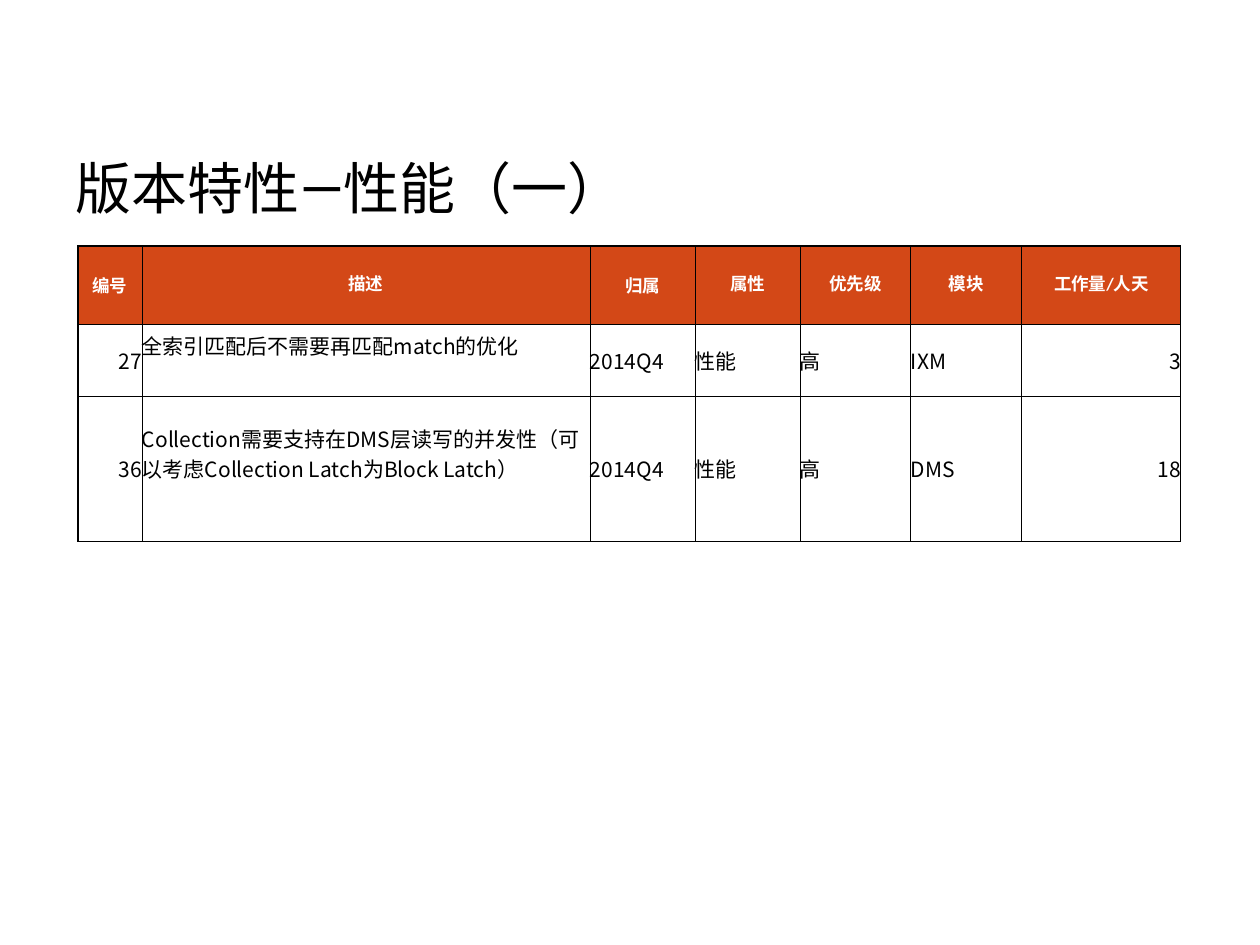
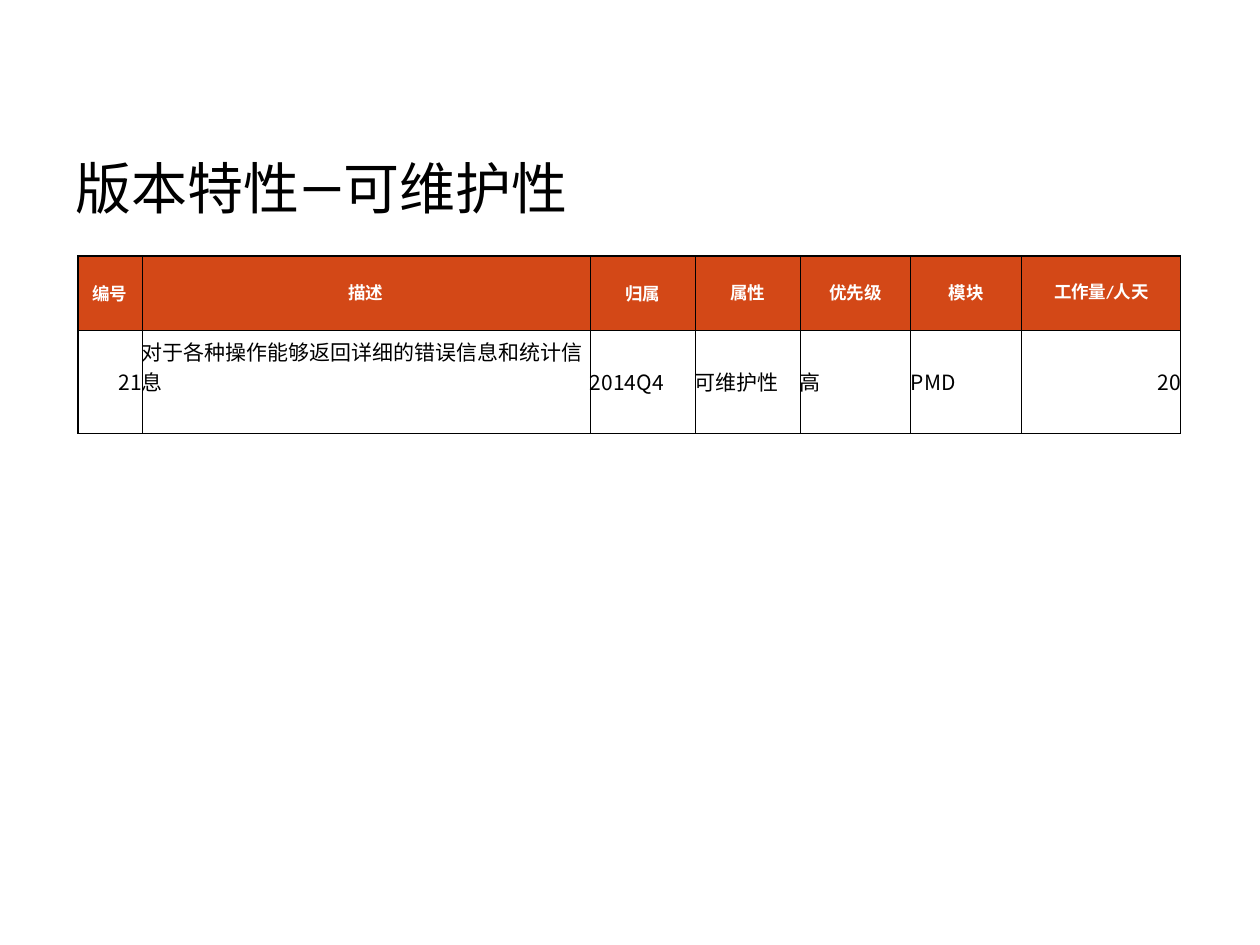
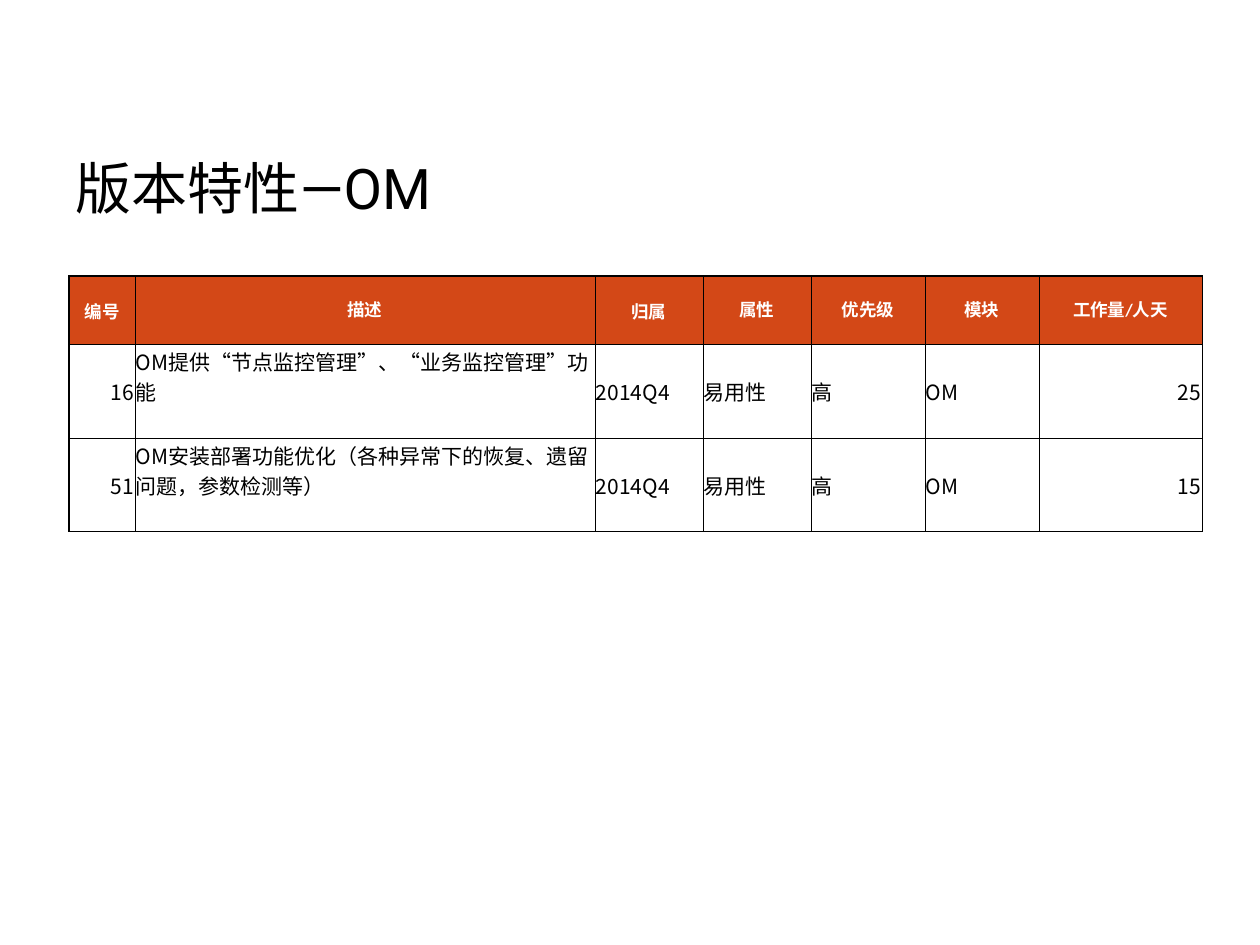
from lxml import etree
from pptx import Presentation
from pptx.dml.color import RGBColor
from pptx.enum.text import MSO_ANCHOR, PP_ALIGN
from pptx.oxml.ns import qn
from pptx.util import Pt

LEFT, MID, RIGHT = PP_ALIGN.LEFT, PP_ALIGN.CENTER, PP_ALIGN.RIGHT
CENTER = MSO_ANCHOR.MIDDLE
SCALE = 914400 / 126
COLORS = {"head": "D34817", "white": "FFFFFF", "black": "000000"}
CJK, ARIAL, SLASH, TITLE = "Noto Sans CJK SC", "Arial", "Calibri", "Roboto"
COLS = [64, 448, 105, 105, 111, 111, 159]
ALIGNS = [RIGHT] + [LEFT] * 5 + [RIGHT]
LINE = 30
HEAD = [
    [("编号", CJK)],
    [("描述", ARIAL)],
    [("归属", CJK)],
    [("属性", ARIAL)],
    [("优先级", ARIAL)],
    [("模块", ARIAL)],
    [("工作量", ARIAL), ("/", SLASH), ("人天", ARIAL)],
]
SLIDES = [
    {
        "title": "版本特性—性能（一）",
        "box": (78, 246, 1103), "inset": 0, "heights": [78, 72, 145],
        "rows": [
            ["27", "全索引匹配后不需要再匹配match的优化",
             "2014Q4", "性能", "高", "IXM", "3"],
            ["36", "Collection需要支持在DMS层读写的并发性"
             "（可以考虑Collection Latch为Block Latch）",
             "2014Q4", "性能", "高", "DMS", "18"],
        ],
    },
    {
        "title": "版本特性—可维护性",
        "box": (78, 256, 1103), "inset": 0, "heights": [74, 103],
        "rows": [
            ["21", "对于各种操作能够返回详细的错误信息和统计信息",
             "2014Q4", "可维护性", "高", "PMD", "20"],
        ],
    },
    {
        "title": "版本特性—OM",
        "box": (69, 276, 1132), "inset": 1, "heights": [68, 94, 94],
        "rows": [
            ["16", "OM提供“节点监控管理”、“业务监控管理”功能",
             "2014Q4", "易用性", "高", "OM", "25"],
            ["51", "OM安装部署功能优化（各种异常下的恢复、遗留问题，参数检测等）",
             "2014Q4", "易用性", "高", "OM", "15"],
        ],
    },
]


def px(size):
    return round(size * SCALE)


def style(run, face, size, color, bold=False):
    font = run.font
    font.name, font.size, font.bold = face, Pt(size), bold
    font.color.rgb = RGBColor.from_string(COLORS[color])
    east = etree.Element(qn("a:ea"), typeface=face)
    run._r.get_or_add_rPr().find(qn("a:latin")).addnext(east)


def edge(cell, top, left):
    widths = {"L": 1 if left else 0.5, "R": 0.5, "T": 1 if top else 0.5, "B": 0.5}
    props = cell._tc.get_or_add_tcPr()
    for spot, (side, width) in enumerate(widths.items()):
        line = etree.Element(qn(f"a:ln{side}"), w=str(Pt(width)))
        fill = etree.SubElement(line, qn("a:solidFill"))
        etree.SubElement(fill, qn("a:srgbClr"), val=COLORS["black"])
        props.insert(spot, line)


def write(cell, parts, align, size, color, bold):
    para = cell.text_frame.paragraphs[0]
    para.alignment = align
    for text, face in parts:
        run = para.add_run()
        run.text = text
        style(run, face, size, color, bold)


def add_title(slide, text):
    title = slide.shapes.title
    title.left, title.top, title.width, title.height = map(px, (63, 108, 1134, 158))
    frame = title.text_frame
    frame.text = text
    frame.vertical_anchor = CENTER
    frame.paragraphs[0].alignment = LEFT
    style(frame.paragraphs[0].runs[0], TITLE, 32, "black")


def add_grid(slide, box, inset, heights, rows):
    left, top, width = box
    table = slide.shapes.add_table(
        len(heights), len(COLS), px(left), px(top), px(width), px(sum(heights))
    ).table
    table.first_row = table.horz_banding = False
    for col, size in zip(table.columns, COLS):
        col.width = px(round(size * width / sum(COLS)))
    for row, size in zip(table.rows, heights):
        row.height = px(size)
    for y in range(len(heights)):
        for x in range(len(COLS)):
            cell = table.cell(y, x)
            cell.vertical_anchor = CENTER
            cell.margin_left = cell.margin_top = cell.margin_right = px(inset)
            cell.margin_bottom = px(LINE if y and x == 1 else 0)
            if y:
                cell.fill.background()
                write(cell, [(rows[y - 1][x], CJK)], ALIGNS[x], 12, "black", False)
            else:
                cell.fill.solid()
                cell.fill.fore_color.rgb = RGBColor.from_string(COLORS["head"])
                write(cell, HEAD[x], MID, 10, "white", True)
            edge(cell, y == 0, x == 0)


def main():
    deck = Presentation()
    deck.slide_width, deck.slide_height = px(1260), px(945)
    for page in SLIDES:
        slide = deck.slides.add_slide(deck.slide_layouts[5])
        add_title(slide, page["title"])
        add_grid(slide, page["box"], page["inset"], page["heights"], page["rows"])
    deck.save("out.pptx")


if __name__ == "__main__":
    main()
